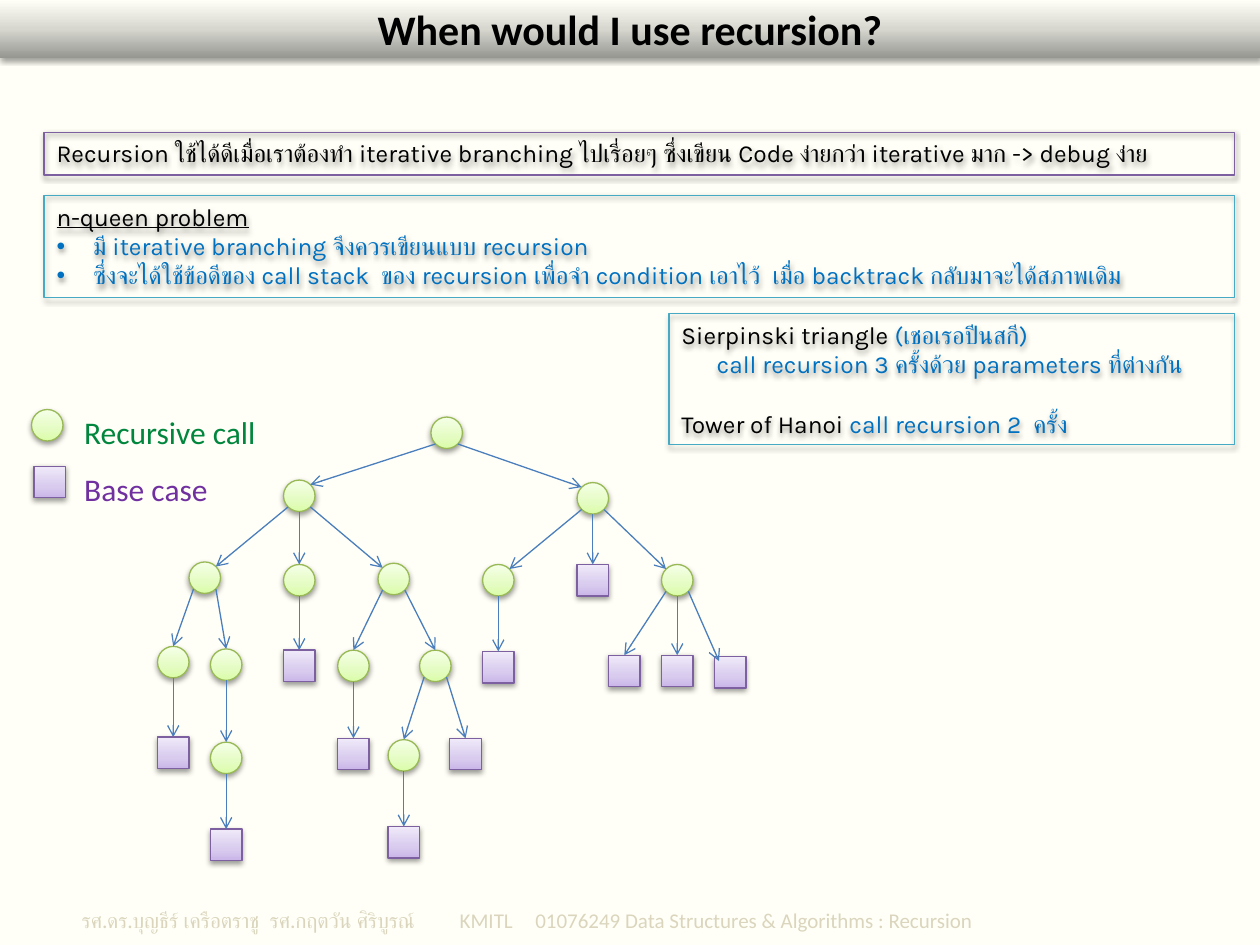
from lxml import etree
from pptx import Presentation
from pptx.dml.color import RGBColor
from pptx.enum.shapes import MSO_CONNECTOR, MSO_SHAPE
from pptx.enum.text import MSO_ANCHOR, MSO_AUTO_SIZE, PP_ALIGN
from pptx.oxml.ns import qn
from pptx.util import Inches, Pt

RECT, OVAL = MSO_SHAPE.RECTANGLE, MSO_SHAPE.OVAL
LINE = MSO_CONNECTOR.STRAIGHT
GROW = MSO_AUTO_SIZE.SHAPE_TO_FIT_TEXT
TOP, MID = MSO_ANCHOR.TOP, MSO_ANCHOR.MIDDLE
LEFT, CENTER = PP_ALIGN.LEFT, PP_ALIGN.CENTER

HUES = {
    "page": "FFFFF7", "black": "000000", "blue": "0070C0", "green": "00863D",
    "purple": "7030A0", "foot": "DAD5BC", "edge": "4B7EBC",
    "call": "98B955", "base": "7D60A0", "teal": "46AAC5",
}
FADES = {
    "title": [(0, "979792"), (50, "D7D7D0"), (100, "FFFFF7")],
    "call": [(0, "DAFDA7"), (35, "E4FCC2"), (100, "F5FFE7")],
    "base": [(0, "C9B5E8"), (35, "D8CBEE"), (100, "F0EAF9")],
}
SIDE = 0.25
DIAG = SIDE / 2 * 0.71

TREE = [
    ("root", None, "call", 3.42, 3.31),
    ("l", "root", "call", 2.25, 3.81),
    ("r", "root", "call", 4.58, 3.83),
    ("ll", "l", "call", 1.5, 4.46),
    ("lm", "l", "call", 2.25, 4.48),
    ("lr", "l", "call", 3, 4.47),
    ("rl", "r", "call", 3.83, 4.48),
    ("rm", "r", "base", 4.58, 4.48),
    ("rr", "r", "call", 5.25, 4.48),
    ("lll", "ll", "call", 1.25, 5.13),
    ("llr", "ll", "call", 1.67, 5.15),
    ("lmm", "lm", "base", 2.25, 5.16),
    ("lrl", "lr", "call", 2.68, 5.16),
    ("lrr", "lr", "call", 3.33, 5.16),
    ("rlm", "rl", "base", 3.83, 5.17),
    ("rrl", "rr", "base", 4.83, 5.2),
    ("rrm", "rr", "base", 5.25, 5.2),
    ("rrr", "rr", "base", 5.67, 5.21),
    ("lllm", "lll", "base", 1.25, 5.85),
    ("llrm", "llr", "call", 1.67, 5.89),
    ("lrlm", "lrl", "base", 2.68, 5.86),
    ("lrrl", "lrr", "call", 3.08, 5.87),
    ("lrrr", "lrr", "base", 3.57, 5.86),
    ("llrmm", "llrm", "base", 1.67, 6.58),
    ("lrrlm", "lrrl", "base", 3.08, 6.56),
]


def add(node, tag, **attrs):
    return etree.SubElement(node, qn(tag), {k: str(v) for k, v in attrs.items()})


def rgb(name):
    return RGBColor.from_string(HUES[name])


class Deck:
    def __init__(self):
        self.prs = Presentation()
        self.prs.slide_width, self.prs.slide_height = Inches(10), Inches(7.5)
        self.slide = self.prs.slides.add_slide(self.prs.slide_layouts[6])
        self.slide.background.fill.solid()
        self.slide.background.fill.fore_color.rgb = rgb("page")
        self.art = self.slide.shapes

    def group(self):
        self.art = self.slide.shapes.add_group_shape().shapes

    def ungroup(self):
        self.art = self.slide.shapes

    def shape(self, kind, at, line, fade=None):
        shape = self.art.add_shape(kind, *map(Inches, at))
        props = shape._element.spPr
        if fade:
            shape.fill.gradient()
            shape.fill.gradient_angle = 90
            stops = props.find(".//" + qn("a:gsLst"))
            stops.clear()
            for pos, color in FADES[fade]:
                add(add(stops, "a:gs", pos=pos * 1000), "a:srgbClr", val=color)
        else:
            shape.fill.background()
        shape.line.color.rgb = rgb(line)
        shape.line.width = Pt(0.75)
        shape.shadow.inherit = False
        cast = add(props.find(qn("a:effectLst")), "a:outerShdw", blurRad=Pt(3.1),
                   dist=Pt(1.6), dir=5400000, rotWithShape=0)
        add(add(cast, "a:srgbClr", val=HUES["black"]), "a:alpha", val=38000)
        return shape

    def node(self, kind, x, y):
        form = OVAL if kind == "call" else RECT
        return self.shape(form, (x, y, SIDE, SIDE), kind, kind)

    def edge(self, start, end, goal, corner):
        (x1, y1), (x2, y2) = start, end
        way = (x2 > x1) - (x2 < x1)
        half = SIDE / 2
        drop = DIAG if way else half
        ax, ay = x1 + half + way * DIAG, y1 + half + drop
        bx, by = x2 + half, y2
        if corner:
            bx, by = bx - way * DIAG, y2 + half - DIAG
        wire = self.art.add_connector(LINE, *map(Inches, (ax, ay, bx, by)))
        if not corner:
            wire.end_connect(goal, 0)
        wire.line.color.rgb = rgb("edge")
        wire.line.width = Pt(0.75)
        add(wire.line._ln, "a:tailEnd", type="arrow")
        add(wire._element.spPr, "a:effectLst")

    def label(self, at):
        return self.art.add_textbox(*map(Inches, at))

    def text(self, shape, lines, font, size, anchor=TOP, align=LEFT):
        frame = shape.text_frame
        frame.word_wrap = True
        frame.vertical_anchor = anchor
        if anchor == TOP:
            frame.auto_size = GROW
        paras = []
        for i, runs in enumerate(lines):
            para = frame.add_paragraph() if i else frame.paragraphs[0]
            para.alignment = align
            para.font.name, para.font.size = font, Pt(size)
            if len(runs) == 1:
                para.font.color.rgb = rgb(runs[0][1])
            for words, color in runs:
                run = para.add_run()
                run.text = words
                if len(runs) > 1:
                    run.font.color.rgb = rgb(color)
            paras.append(para)
        return paras

    def indent(self, para, left, bullet=False):
        props = para._p.get_or_add_pPr()
        props.set("marL", str(Inches(left)))
        if bullet:
            props.set("indent", str(Inches(-left)))
            mark = add(props, "a:buFont", typeface="Arial")
            sign = add(props, "a:buChar", char="•")
            props.find(qn("a:defRPr")).addprevious(mark)
            mark.addnext(sign)

    def tabs(self, para, stops):
        props = para._p.get_or_add_pPr()
        tabs = add(props, "a:tabLst")
        for stop in stops:
            add(tabs, "a:tab", pos=Inches(stop), algn="l")
        props.find(qn("a:defRPr")).addprevious(tabs)


def main():
    deck = Deck()
    foot = deck.text(deck.label((0.55, 7.15, 9.45, 0.3)), [[
        ("รศ.ดร.บุญธีร์ เครือตราชู  รศ.กฤตวัน ศิริบูรณ์", "foot"),
        ("\tKMITL\t01076249 Data Structures & Algorithms : Recursion", "foot"),
    ]], "Calibri", 12)[0]
    foot.runs[0].font.name = "Lato"
    deck.tabs(foot, (3, 3.6))

    title = deck.shape(RECT, (0, 0, 10, 0.46), "black", "title")
    title.line.fill.background()
    head = deck.text(title, [[("When would I use recursion?", "black")]],
                     "Calibri", 24, MID, CENTER)[0]
    head.font.bold = True

    deck.text(deck.shape(RECT, (0.35, 1.05, 9.45, 0.34), "base"), [[
        ("Recursion ใช้ได้ดีเมื่อเราต้องทำ iterative branching ไปเรี่อยๆ "
         "ซึ่งเขียน Code ง่ายกว่า iterative มาก -> debug ง่าย", "black"),
    ]], "Karla", 14)

    deck.group()
    spots = {}
    for name, up, kind, x, y in TREE:
        spots[name] = x, y
        form = deck.node(kind, x, y)
        if up:
            corner = abs(x - spots[up][0]) > 0.5 or name == "rrr"
            deck.edge(spots[up], (x, y), form, corner)

    deck.group()
    deck.node("call", 0.25, 3.25)
    deck.node("base", 0.27, 3.7)
    for para in deck.text(deck.label((0.57, 3.08, 1.83, 1.01)), [
        [("Recursive call", "green")],
        [("Base case", "purple")],
    ], "Calibri", 18):
        para.line_spacing = 1.5
    deck.ungroup()

    _, calls, tower = deck.text(deck.shape(RECT, (5.31, 2.49, 4.49, 1.04), "teal"), [
        [("Sierpinski triangle ", "black"), ("(เชอเรอปีนสกี)", "blue")],
        [("call recursion 3 ครั้งด้วย parameters ที่ต่างกัน", "blue")],
        [("Tower of Hanoi ", "black"), ("call recursion 2  ครั้ง", "blue")],
    ], "Karla", 14)
    deck.indent(calls, 0.28)
    tower.space_before = Pt(17)

    queen, *points = deck.text(deck.shape(RECT, (0.35, 1.55, 9.45, 0.81), "teal"), [
        [("n-queen problem", "black")],
        [("มี iterative branching จึงควรเขียนแบบ recursion", "blue")],
        [("ซึ่งจะได้ใช้ข้อดีของ call stack  ของ recursion เพื่อจำ condition เอาไว้  "
          "เมื่อ backtrack กลับมาจะได้สภาพเดิม", "blue")],
    ], "Karla", 14)
    queen.font.underline = True
    for point in points:
        deck.indent(point, 0.29, True)

    deck.prs.save("out.pptx")


if __name__ == "__main__":
    main()
